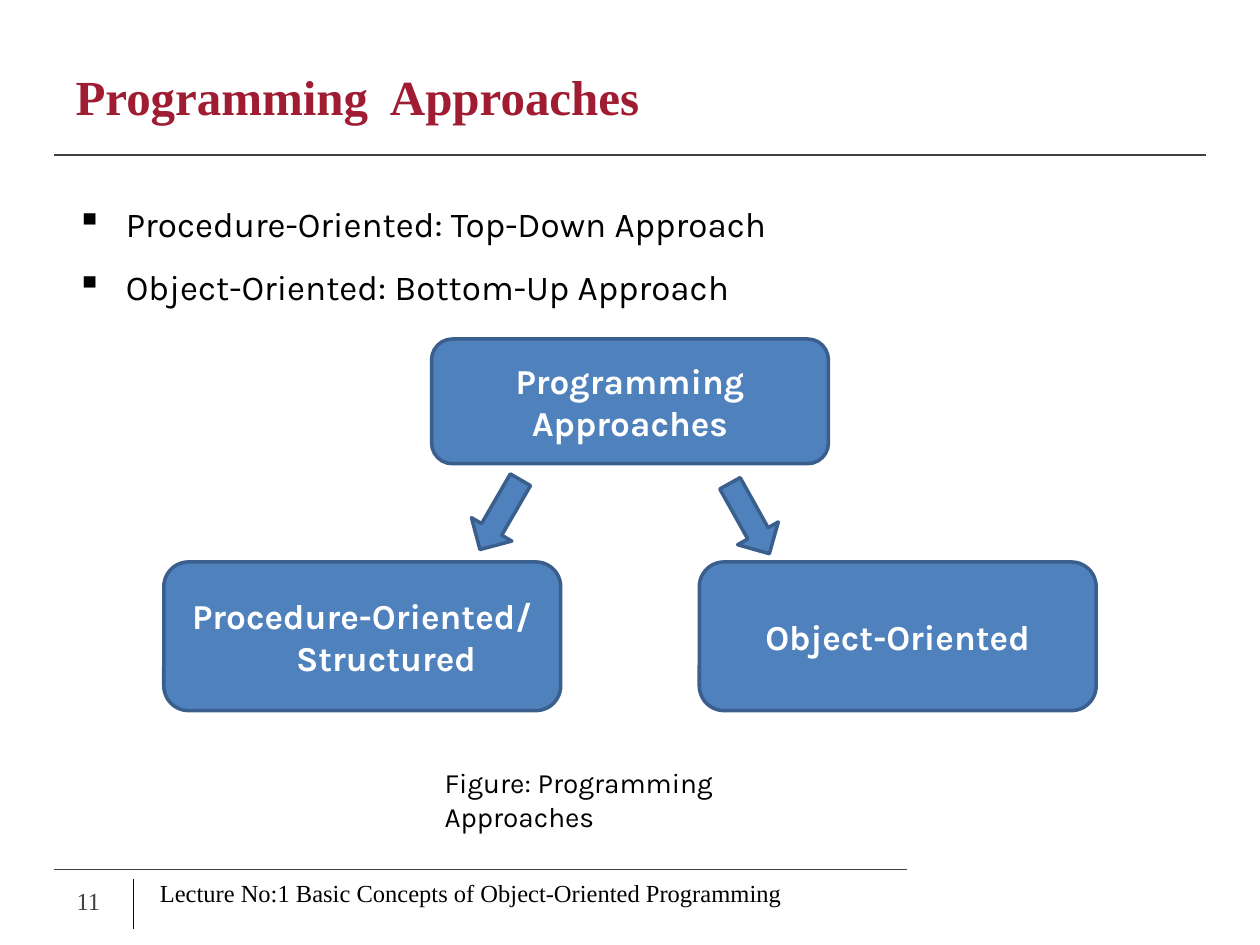
from lxml.etree import SubElement
from pptx import Presentation
from pptx.dml.color import RGBColor
from pptx.enum.shapes import MSO_CONNECTOR, MSO_SHAPE
from pptx.enum.text import MSO_ANCHOR, PP_ALIGN
from pptx.oxml.ns import qn
from pptx.util import Inches, Pt

# Content
TITLE = "Programming  Approaches"
POINTS = ["Procedure-Oriented: Top-Down Approach", "Object-Oriented: Bottom-Up Approach"]
ROOT = "Programming Approaches"
BRANCHES = ["Procedure-Oriented/ Structured", "Object-Oriented"]
CAPTION = "Figure: Programming Approaches"
PAGE = "11"
FOOTER = "Lecture No:1 Basic Concepts of Object-Oriented Programming"

COLORS = {"title": "9F1C33", "rule": "404040", "divider": "0D0D0D", "box": "4F81BD",
          "edge": "3A5F8C", "light": "FFFFFF", "text": "000000"}
SERIF, SANS = "Times New Roman", "Karla"

# Layout
SLIDE_W, SLIDE_H = 10, 7.5
BOX_W, ROOT_H, BRANCH_H = 3.15, 0.99, 1.18
ROOT_TOP, BRANCH_TOP = 2.69, 4.46
BRANCH_LEFT = 1.3
ARROW_W, ARROW_H = 0.64, 0.37
ARROWS = [(3.65, 3.9, 300.1), (5.63, 3.93, 240.8)]  # left, top, rotation
RULES = [(0.43, 1.23, 9.57, 1.23, "rule"),
         (0.43, 6.9, 7.2, 6.9, "rule"),
         (1.06, 6.98, 1.06, 7.37, "divider")]


def rgb(name):
    return RGBColor.from_string(COLORS[name])


def write(shape, *texts, size, font=SANS, color="text", bold=False, align=PP_ALIGN.LEFT,
          anchor=MSO_ANCHOR.TOP, hanging=0, spacing=None, bullet=None):
    """Fill a shape with one formatted paragraph per text."""
    frame = shape.text_frame
    frame.word_wrap = True
    frame.vertical_anchor = anchor
    for index, text in enumerate(texts):
        paragraph = frame.add_paragraph() if index else frame.paragraphs[0]
        paragraph.alignment = align
        if spacing:
            paragraph.line_spacing = spacing
        properties = paragraph._p.get_or_add_pPr()
        if hanging:
            properties.set("marL", str(Inches(hanging)))
            properties.set("indent", str(-Inches(hanging)))
        if bullet:
            SubElement(properties, qn("a:buChar")).set("char", bullet)
        run = paragraph.add_run()
        run.text = text
        run.font.name, run.font.size, run.font.bold = font, Pt(size), bold
        run.font.color.rgb = rgb(color)


def add_text(slide, left, top, width, height, *texts, **style):
    box = slide.shapes.add_textbox(*map(Inches, (left, top, width, height)))
    write(box, *texts, **style)


def add_block(slide, kind, left, top, width, height):
    block = slide.shapes.add_shape(kind, *map(Inches, (left, top, width, height)))
    block.shadow.inherit = False
    block.fill.solid()
    block.fill.fore_color.rgb = rgb("box")
    block.line.color.rgb = rgb("edge")
    block.line.width = Pt(2)
    return block


def add_rule(slide, x1, y1, x2, y2, color):
    rule = slide.shapes.add_connector(MSO_CONNECTOR.STRAIGHT, *map(Inches, (x1, y1, x2, y2)))
    rule.line.color.rgb = rgb(color)
    rule.line.width = Pt(0.75)
    SubElement(rule._element.spPr, qn("a:effectLst"))


def main():
    deck = Presentation()
    deck.slide_width, deck.slide_height = Inches(SLIDE_W), Inches(SLIDE_H)
    slide = deck.slides.add_slide(deck.slide_layouts[5])

    # Rules
    for rule in RULES:
        add_rule(slide, *rule)

    # Title and page number
    title = slide.shapes.title
    title.left, title.top, title.width, title.height = map(Inches, (0.5, 0.3, 9, 0.93))
    write(title, TITLE, size=28, font=SERIF, color="title", bold=True, anchor=MSO_ANCHOR.MIDDLE)
    add_text(slide, 0.51, 6.95, 0.52, 0.4, PAGE, size=14, font=SERIF, color="rule",
             anchor=MSO_ANCHOR.MIDDLE)

    # Diagram: centred root over two mirrored branches
    label = dict(size=20, color="light", bold=True, align=PP_ALIGN.CENTER,
                 anchor=MSO_ANCHOR.MIDDLE)
    root = add_block(slide, MSO_SHAPE.ROUNDED_RECTANGLE,
                     (SLIDE_W - BOX_W) / 2, ROOT_TOP, BOX_W, ROOT_H)
    write(root, ROOT, **label)
    branch_lefts = [BRANCH_LEFT, SLIDE_W - BRANCH_LEFT - BOX_W]
    for text, left in zip(BRANCHES, branch_lefts):
        branch = add_block(slide, MSO_SHAPE.ROUNDED_RECTANGLE, left, BRANCH_TOP, BOX_W, BRANCH_H)
        write(branch, text, hanging=0.38, **label)
    for left, top, rotation in ARROWS:
        arrow = add_block(slide, MSO_SHAPE.LEFT_ARROW, left, top, ARROW_W, ARROW_H)
        arrow.rotation = rotation

    # Bullet points, caption and footer
    add_text(slide, 0.51, 1.39, 9.21, 1.11, *POINTS, size=20, hanging=0.39, spacing=1.5,
             bullet="▪")
    add_text(slide, 3.43, 6.03, 3.54, 0.37, CAPTION, size=16)
    add_text(slide, 1.17, 6.92, 6.55, 0.34, FOOTER, size=14, font=SERIF)

    deck.save("out.pptx")


if __name__ == "__main__":
    main()
